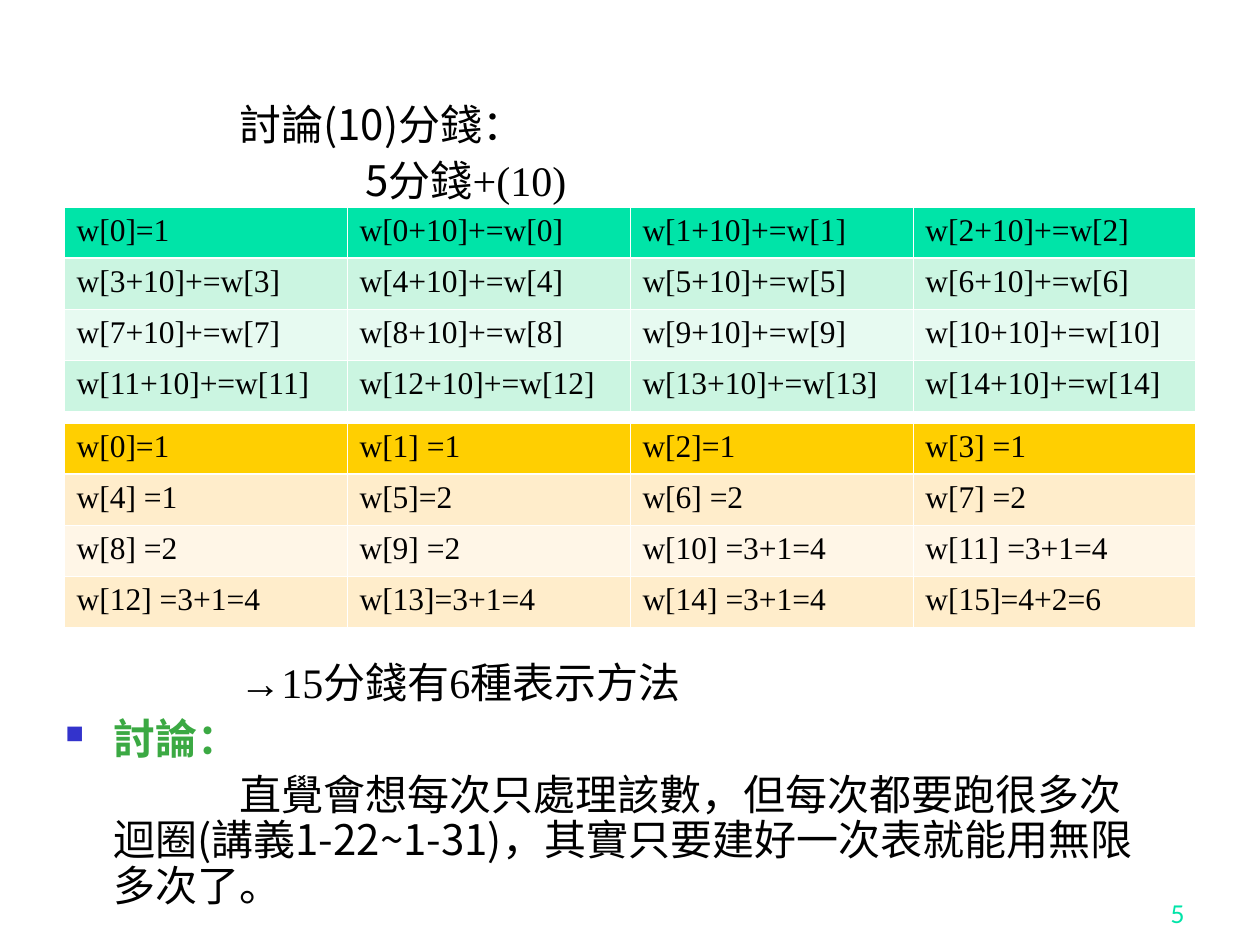
from dataclasses import dataclass

from lxml import etree
from pptx import Presentation
from pptx import util as u
from pptx.dml.color import RGBColor
from pptx.enum import text
from pptx.oxml import ns


@dataclass(frozen=True)
class Theme:
    """Colours, fonts and type sizes of the slide."""
    ink: str = "000000"
    line: str = "FFFFFF"
    head: str = "3BA943"
    mark: str = "3333CC"
    page: str = "00E4A8"
    green: tuple = ("00E4A8", "CBF5E1", "E7FAF1")
    gold: tuple = ("FFCF01", "FFEDCB", "FFF6E7")
    sans: str = "Noto Sans CJK SC"
    serif: str = "Times New Roman"
    arrow: str = "Arial"
    num: str = "Lato"
    body: int = 24
    cell: int = 18
    small: int = 14
    lead: int = 26
    gap: int = 6
    thin: float = 0.45
    thick: float = 1.47


T = Theme()
HANG, TAB = 48, 126

STEPS = [
    ["w[0]=1"] + [f"w[{i}+10]+=w[{i}]" for i in range(3)],
    *[[f"w[{i}+10]+=w[{i}]" for i in range(a, a + 4)] for a in (3, 7, 11)],
]
WAYS = [
    ["w[0]=1", "w[1] =1", "w[2]=1", "w[3] =1"],
    ["w[4] =1", "w[5]=2", "w[6] =2", "w[7] =2"],
    ["w[8] =2", "w[9] =2", "w[10] =3+1=4", "w[11] =3+1=4"],
    ["w[12] =3+1=4", "w[13]=3+1=4", "w[14] =3+1=4", "w[15]=4+2=6"],
]
INTRO = [
    (TAB, [("討論(10)分錢：", T.sans)]),
    (2 * TAB, [("5分錢", T.sans), ("+(10)", T.serif)]),
]
NOTES = [
    (TAB, [("→", T.arrow), ("15分錢有6種表示方法", T.serif)]),
    (-HANG, [("討論：", T.sans)]),
    (TAB, [("直覺會想每次只處理該數，但每次都要跑很多次迴圈(講義1-22~1-31)，"
            "其實只要建好一次表就能用無限多次了。", T.sans)]),
]


def px(n):
    """Turn pixels into EMU."""
    return u.Emu(round(n * 914400 / 126))


def sub(node, tag, **attrs):
    """Append a drawing element to a node."""
    return etree.SubElement(node, ns.qn(tag), attrs)


def style(run, face, size, color, bold=False):
    """Set the font of a run."""
    font = run.font
    font.name, font.size, font.bold = face, u.Pt(size), bold
    font.color.rgb = RGBColor.from_string(color)
    sub(run._r.get_or_add_rPr(), "a:ea", typeface=T.sans)


def box(slide, x, y, w, h):
    """Add a wrapping text box and return its frame."""
    frame = slide.shapes.add_textbox(px(x), px(y), px(w), px(h)).text_frame
    frame.word_wrap = True
    return frame


def bullet(props):
    """Give paragraph properties a small square bullet."""
    sub(sub(props, "a:buClr"), "a:srgbClr", val=T.mark)
    sub(props, "a:buSzPct", val="60000")
    sub(props, "a:buChar", char="■")


def prose(slide, y, h, lines):
    """Add a body text box of indented lines."""
    frame = box(slide, 53, y, 1113, h)
    for i, (indent, parts) in enumerate(lines):
        para = frame.add_paragraph() if i else frame.paragraphs[0]
        props = para._p.get_or_add_pPr()
        props.set("marL", str(px(HANG)))
        props.set("indent", str(px(indent)))
        topic = indent < 0
        if topic:
            bullet(props)
        para.line_spacing = u.Pt(T.lead)
        if i:
            para.space_before = u.Pt(T.gap)
        for words, face in parts:
            run = para.add_run()
            run.text = words
            style(run, face, T.body, T.head if topic else T.ink, topic)


def edge(cell, row):
    """Draw the white borders of a cell."""
    props = cell._tc.get_or_add_tcPr()
    heavy = {0: "B", 1: "T"}.get(row)
    for side in "LRTB":
        width = u.Pt(T.thick if side == heavy else T.thin)
        line = sub(props, f"a:ln{side}", w=str(width))
        sub(sub(line, "a:solidFill"), "a:srgbClr", val=T.line)


def grid(slide, y, rows, tints):
    """Add a table with a header colour and two band colours."""
    wide, high = 283, 51
    count, cols = len(rows), len(rows[0])
    table = slide.shapes.add_table(
        count, cols, px(64), px(y), px(wide * cols), px(high * count)).table
    table.first_row = table.horz_banding = False
    for r, row in enumerate(rows):
        tint = tints[0] if r == 0 else tints[2 - r % 2]
        for c, words in enumerate(row):
            cell = table.cell(r, c)
            edge(cell, r)
            cell.fill.solid()
            cell.fill.fore_color.rgb = RGBColor.from_string(tint)
            cell.text_frame.text = words
            style(cell.text_frame.paragraphs[0].runs[0], T.serif, T.cell, T.ink)


def folio(slide, num):
    """Add the page number."""
    frame = box(slide, 935, 872, 262, 63)
    frame.vertical_anchor = text.MSO_ANCHOR.BOTTOM
    frame.text = num
    para = frame.paragraphs[0]
    para.alignment = text.PP_ALIGN.RIGHT
    style(para.runs[0], T.num, T.small, T.page)


def main():
    """Build the slide and save it."""
    deck = Presentation()
    deck.slide_width, deck.slide_height = px(1260), px(945)
    slide = deck.slides.add_slide(deck.slide_layouts[6])
    folio(slide, "5")
    prose(slide, 97, 114, INTRO)
    prose(slide, 655, 262, NOTES)
    grid(slide, 207, STEPS, T.green)
    grid(slide, 423, WAYS, T.gold)
    deck.save("out.pptx")


if __name__ == "__main__":
    main()
